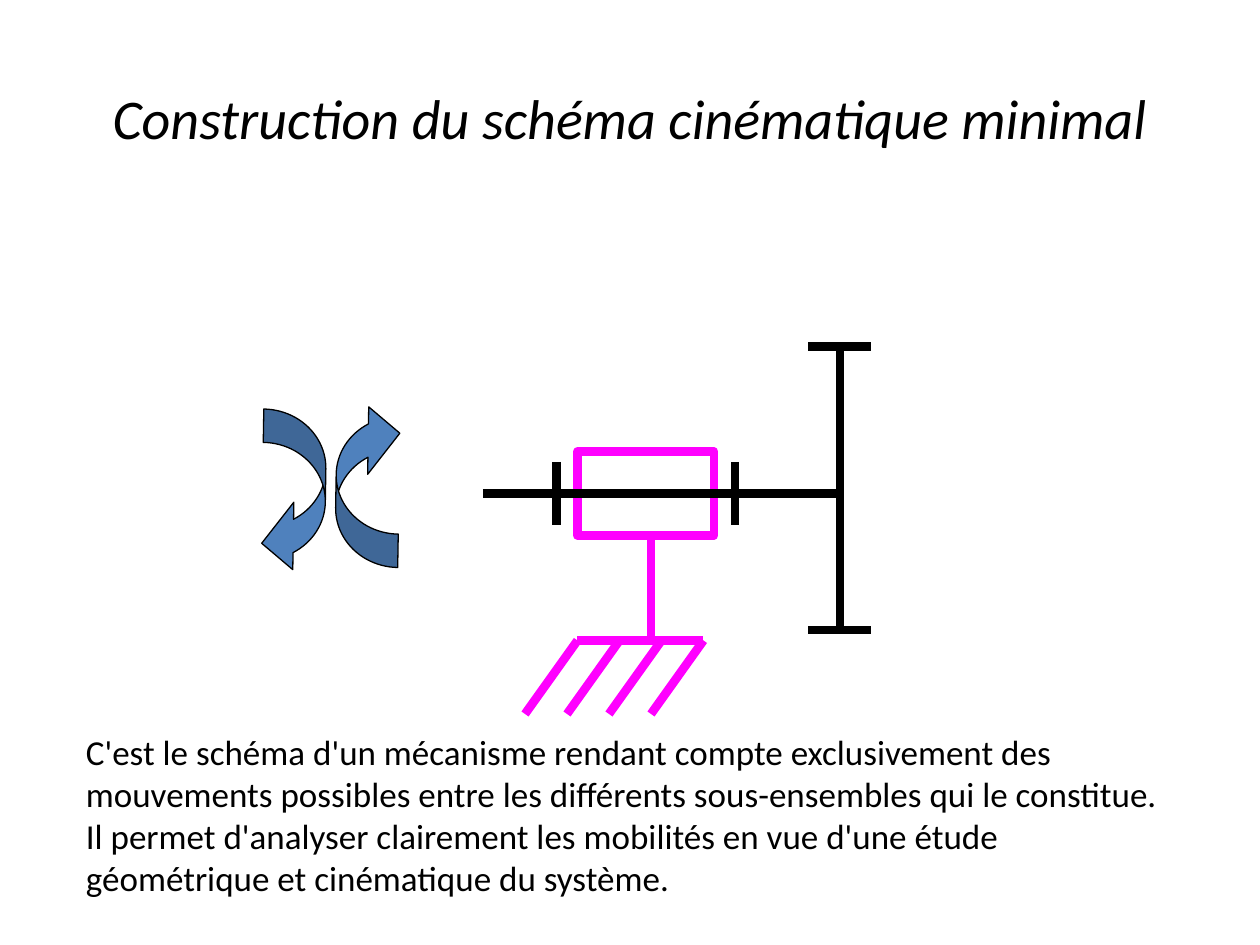
from dataclasses import dataclass

from lxml.etree import SubElement
from pptx import Presentation
from pptx.dml.color import RGBColor
from pptx.enum.shapes import MSO_CONNECTOR, MSO_SHAPE
from pptx.enum.text import MSO_ANCHOR, PP_ALIGN
from pptx.oxml.ns import qn
from pptx.util import Emu, Pt

EMU_PER_PX = 9525
BLACK, MAGENTA, BLUE = "000000", "FF00FF", "4F81BD"
BAR_WIDTH = 5
TITLE = "Construction du schéma cinématique minimal"
DEFINITION = (
    "C'est le schéma d'un mécanisme rendant compte exclusivement des mouvements "
    "possibles entre les différents sous-ensembles qui le constitue. Il permet "
    "d'analyser clairement les mobilités en vue d'une étude géométrique et "
    "cinématique du système."
)


@dataclass(frozen=True)
class Box:
    """A rectangle in px."""

    left: int
    top: int
    width: int
    height: int

    def emu(self) -> list[Emu]:
        """Return the four lengths in EMU."""
        return [px(n) for n in (self.left, self.top, self.width, self.height)]


@dataclass(frozen=True)
class Bar:
    """A straight bar between two points in px."""

    x1: int
    y1: int
    x2: int
    y2: int


@dataclass(frozen=True)
class Solid:
    """A rigid part of the mechanism: its colour, bars and sleeves."""

    color: str
    bars: list[Bar]
    sleeves: tuple[Box, ...] = ()


@dataclass(frozen=True)
class Rotation:
    """A curved arrow that shows a direction of rotation."""

    box: Box
    angle: float


PULLEY = Solid(BLACK, [
    Bar(616, 264, 664, 264),
    Bar(640, 264, 640, 480),
    Bar(616, 480, 664, 480),
])
FRAME = Solid(
    MAGENTA,
    [Bar(496, 408, 496, 488), Bar(440, 488, 536, 488)]
    + [Bar(x, 488, x - 40, 544) for x in range(440, 537, 32)],
    (Box(440, 344, 104, 64),),
)
SHAFT = Solid(
    BLACK,
    [Bar(368, 376, 640, 376)] + [Bar(x, 352, x, 400) for x in (560, 424)],
)
ROTATIONS = [
    Rotation(Box(256, 304, 48, 128), 180.9),
    Rotation(Box(200, 312, 48, 128), 0.9),
]


def px(length: int) -> Emu:
    """Turn px into EMU."""
    return Emu(length * EMU_PER_PX)


def rgb(color: str) -> RGBColor:
    """Turn a hex string into a colour."""
    return RGBColor.from_string(color)


def set_line(shape, color: str, width: float) -> None:
    """Set the colour and width of an outline."""
    shape.line.color.rgb = rgb(color)
    shape.line.width = Pt(width)


def draw_bar(shapes, bar: Bar, color: str) -> None:
    """Draw one bar without a shadow."""
    connector = shapes.add_connector(
        MSO_CONNECTOR.STRAIGHT, px(bar.x1), px(bar.y1), px(bar.x2), px(bar.y2)
    )
    set_line(connector, color, BAR_WIDTH)
    SubElement(connector.element.spPr, qn("a:effectLst"))


def draw_solid(shapes, solid: Solid) -> None:
    """Draw a rigid part as one group."""
    members = shapes.add_group_shape().shapes
    for sleeve in solid.sleeves:
        rectangle = members.add_shape(MSO_SHAPE.RECTANGLE, *sleeve.emu())
        rectangle.shadow.inherit = False
        rectangle.fill.background()
        set_line(rectangle, solid.color, BAR_WIDTH)
    for bar in solid.bars:
        draw_bar(members, bar, solid.color)


def draw_rotation(shapes, rotation: Rotation) -> None:
    """Draw one curved arrow."""
    arrow = shapes.add_shape(MSO_SHAPE.CURVED_LEFT_ARROW, *rotation.box.emu())
    for index, ratio in enumerate((0.53, 1.07, 0.5)):
        arrow.adjustments[index] = ratio
    arrow.rotation = rotation.angle
    arrow.shadow.inherit = False
    arrow.fill.solid()
    arrow.fill.fore_color.rgb = rgb(BLUE)
    set_line(arrow, BLACK, 0.75)


def write(shape, text: str, size: int, align: PP_ALIGN, italic: bool = False) -> None:
    """Write one wrapped paragraph into a shape."""
    frame = shape.text_frame
    frame.text = text
    frame.word_wrap = True
    paragraph = frame.paragraphs[0]
    paragraph.alignment = align
    font = paragraph.runs[0].font
    font.name, font.size, font.italic = "Calibri", Pt(size), italic
    font.color.rgb = rgb(BLACK)


def main() -> None:
    """Build the slide and save it."""
    presentation = Presentation()
    presentation.slide_width, presentation.slide_height = px(960), px(720)
    slide = presentation.slides.add_slide(presentation.slide_layouts[5])
    shapes = slide.shapes

    title = shapes.title
    title.left, title.top, title.width, title.height = Box(48, 29, 864, 120).emu()
    write(title, TITLE, 32, PP_ALIGN.CENTER, italic=True)
    title.text_frame.vertical_anchor = MSO_ANCHOR.MIDDLE

    for solid in (PULLEY, FRAME, SHAFT):
        draw_solid(shapes, solid)

    definition = shapes.add_textbox(*Box(56, 552, 840, 138).emu())
    write(definition, DEFINITION, 20, PP_ALIGN.LEFT)

    for rotation in ROTATIONS:
        draw_rotation(shapes, rotation)

    presentation.save("out.pptx")


if __name__ == "__main__":
    main()
